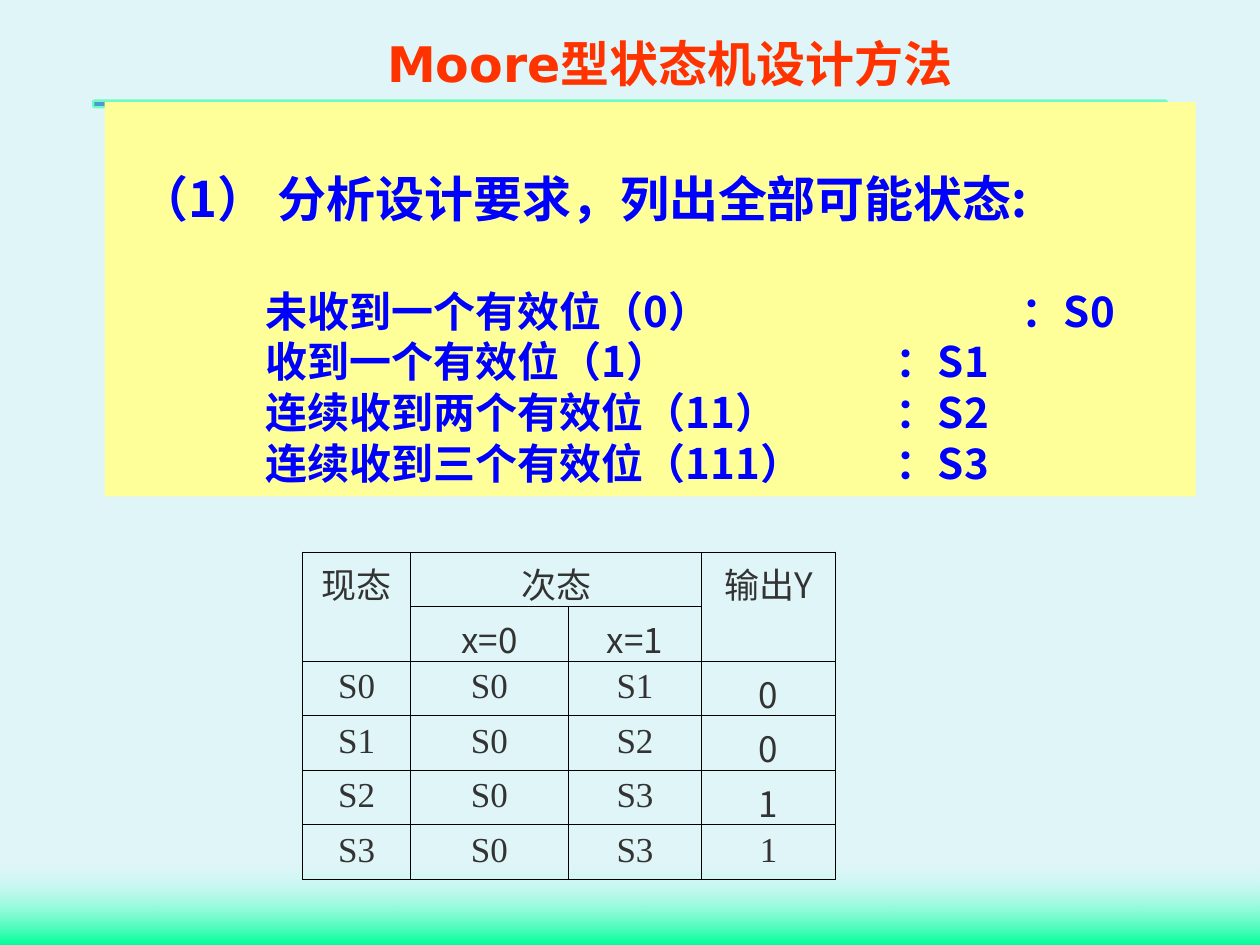
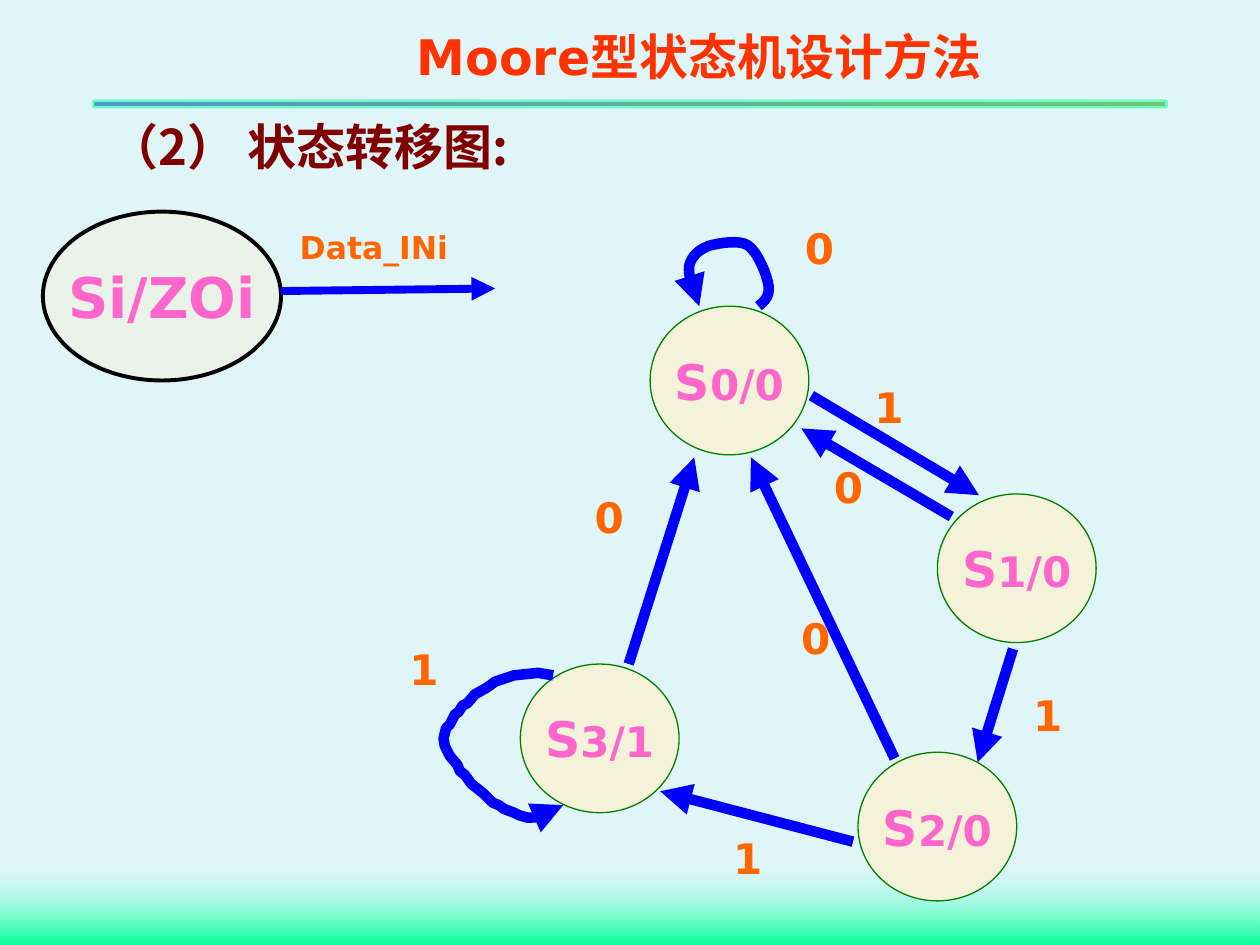
from itertools import product

from lxml.etree import SubElement
from pptx import Presentation
from pptx.dml.color import RGBColor
from pptx.enum.shapes import MSO_CONNECTOR, MSO_SHAPE
from pptx.enum.text import MSO_ANCHOR, MSO_AUTO_SIZE, PP_ALIGN
from pptx.oxml.ns import qn
from pptx.util import Inches, Pt

PALE_BLUE = RGBColor(0xE0, 0xF5, 0xF8)
ICE = RGBColor(0xCC, 0xFF, 0xFF)
MINT = RGBColor(0x00, 0xFF, 0x99)
VIOLET = RGBColor(0x99, 0x33, 0xFF)
OCHRE = RGBColor(0xE0, 0x91, 0x42)
YELLOW = RGBColor(0xFF, 0xFF, 0x99)
BLUE = RGBColor(0x00, 0x00, 0xFF)
RED = RGBColor(0xFF, 0x33, 0x00)
MAROON = RGBColor(0x80, 0x00, 0x00)
GREY = RGBColor(0x33, 0x33, 0x33)
CREAM = RGBColor(0xF4, 0xF3, 0xD9)
GREEN = RGBColor(0x00, 0x80, 0x00)
PINK = RGBColor(0xFF, 0x66, 0xCC)
ORANGE = RGBColor(0xFF, 0x66, 0x00)
BLACK = RGBColor(0x00, 0x00, 0x00)

HAN_FONT = "Noto Sans CJK SC"
LATIN_FONT = "DejaVu Sans"
TABLE_FONT = "Times New Roman"


def write(para, text, size=24, color=BLUE, font=LATIN_FONT, bold=True,
          align=PP_ALIGN.LEFT, line=None):
    """Add one formatted run to a paragraph; line is an exact height in points."""
    para.alignment = align
    if line:
        para.line_spacing = Pt(line)
    span = para.add_run()
    span.text = text
    span.font.size = Pt(size)
    span.font.bold = bold
    span.font.name = font
    span.font.color.rgb = color
    SubElement(span.font._element, qn("a:ea"), typeface=HAN_FONT)


def make_arrow(shape, width=6):
    shape.line.color.rgb = BLUE
    shape.line.width = Pt(width)
    properties = shape.element.spPr
    SubElement(properties.find(qn("a:ln")), qn("a:tailEnd"), type="triangle")
    SubElement(properties, qn("a:effectLst"))


deck = Presentation()
deck.slide_width, deck.slide_height = Inches(10), Inches(7.5)
layout = deck.slide_layouts[5]
states_page = deck.slides.add_slide(layout)
diagram_page = deck.slides.add_slide(layout)

# Shared background, bottom band and rule
background = deck.slide_master.background.fill
background.solid()
background.fore_color.rgb = PALE_BLUE
decor = []
for area, angle, colors in [
    ((0, 6.83, 10, 0.67), 270, (ICE, MINT)),
    ((0.75, 0.81, 8.5, 0.03), 0, (VIOLET, OCHRE)),
]:
    strip = states_page.shapes.add_shape(MSO_SHAPE.RECTANGLE, *map(Inches, area))
    strip.shadow.inherit = False
    strip.line.fill.background()
    strip.fill.gradient()
    strip.fill.gradient_angle = angle
    for stop, color, position in zip(strip.fill.gradient_stops, colors, (0, 1)):
        stop.color.rgb = color
        stop.position = position
    decor.append(strip)
band, rule = decor
rule.line.color.rgb = MINT
rule.line.width = Pt(3)
for index, strip in enumerate(decor):
    layout.shapes.element.insert(2 + index, strip.element)

# Running header and numbered step of each page
for page, header_area, step_area, step, color, top_inset, indent in [
    (states_page, (1.98, 0.21, 6.67, 0.57), (0.83, 0.81, 8.66, 3.13),
     "（1） 分析设计要求，列出全部可能状态:", BLUE, 0.52, 0.18),
    (diagram_page, (2.14, 0.16, 6.82, 0.57), (0.77, 0.88, 4.25, 1.04),
     "（2） 状态转移图:", MAROON, 0.04, 0),
]:
    title = page.shapes.title
    title.left, title.top, title.width, title.height = map(Inches, step_area)
    frame = title.text_frame
    frame.auto_size = MSO_AUTO_SIZE.NONE
    frame.vertical_anchor = MSO_ANCHOR.TOP
    frame.margin_top = Inches(top_inset)
    write(frame.paragraphs[0], step, size=28, color=color, font=HAN_FONT, line=34)
    frame.paragraphs[0]._p.get_or_add_pPr().set("marL", str(Inches(indent)))

    header = page.shapes.add_textbox(*map(Inches, header_area))
    header.text_frame.word_wrap = True
    write(header.text_frame.paragraphs[0], "Moore型状态机设计方法", size=28,
          color=RED, align=PP_ALIGN.CENTER, line=34)

# Page 1: list of states, set on tab stops
title = states_page.shapes.title
title.fill.solid()
title.fill.fore_color.rgb = YELLOW
for number, (meaning, code_stop) in enumerate([
    ("未收到一个有效位（0）", 7),
    ("收到一个有效位（1）", 6),
    ("连续收到两个有效位（11）", 6),
    ("连续收到三个有效位（111）", 6),
]):
    para = title.text_frame.add_paragraph()
    write(para, f"\t{meaning}\t：S{number}", font=HAN_FONT, line=29)
    para.space_before = Pt(0 if number else 33)
    tabs = SubElement(para._p.get_or_add_pPr(), qn("a:tabLst"))
    for stop in (1, code_stop):
        SubElement(tabs, qn("a:tab"), pos=str(Inches(stop)), algn="l")

# Page 1: transition table
ROWS = [
    ("现态", "次态", "", "输出Y"),
    ("", "x=0", "x=1", ""),
    ("S0", "S0", "S1", "0"),
    ("S1", "S0", "S2", "0"),
    ("S2", "S0", "S3", "1"),
    ("S3", "S0", "S3", "1"),
]
COLUMN_WIDTHS = (0.86, 1.25, 1.06, 1.06)
TABLE_HEIGHT = 2.6
table = states_page.shapes.add_table(
    len(ROWS), len(COLUMN_WIDTHS), Inches(2.4), Inches(4.38),
    Inches(sum(COLUMN_WIDTHS)), Inches(TABLE_HEIGHT)).table
table.first_row = table.horz_banding = False
for column, width in zip(table.columns, COLUMN_WIDTHS):
    column.width = Inches(width)
for row in table.rows:
    row.height = Inches(TABLE_HEIGHT / len(ROWS))
for first, last in [((0, 0), (1, 0)), ((0, 1), (0, 2)), ((0, 3), (1, 3))]:
    table.cell(*first).merge(table.cell(*last))
for r, c in product(range(len(ROWS)), range(len(COLUMN_WIDTHS))):
    cell = table.cell(r, c)
    cell.margin_left = cell.margin_right = Inches(0.08)
    cell.margin_top, cell.margin_bottom = Inches(0.05), Inches(0.02)
    properties = cell._tc.get_or_add_tcPr()
    for side in ("lnL", "lnR", "lnT", "lnB"):
        border = SubElement(properties, qn(f"a:{side}"), w=str(Pt(0.45)))
        ink = SubElement(border, qn("a:solidFill"))
        SubElement(ink, qn("a:srgbClr"), val=str(BLACK))
    cell.fill.background()
    if ROWS[r][c]:
        sans = r < 2 or (c == 3 and r < 5)
        write(cell.text_frame.paragraphs[0], ROWS[r][c], size=20, color=GREY,
              font=HAN_FONT if sans else TABLE_FONT, bold=False,
              align=PP_ALIGN.CENTER)

# Page 2: legend and state circles, each text as (words, size) pieces
shapes = diagram_page.shapes
NODE = (1.26, 1.18)
for left, top, size, outline, weight, pieces in [
    (5.16, 2.43, NODE, GREEN, 0.75, [("S", 28), ("0/0", 24)]),
    (7.44, 3.92, NODE, GREEN, 0.75, [("S", 28), ("1/0", 24)]),
    (6.81, 5.97, NODE, GREEN, 0.75, [("S", 28), ("2/0", 24)]),
    (4.13, 5.27, NODE, GREEN, 0.75, [("S", 28), ("3/1", 24)]),
    (0.34, 1.68, (1.89, 1.34), BLACK, 2.25, [("Si/ZOi", 32)]),
]:
    state = shapes.add_shape(MSO_SHAPE.OVAL, *map(Inches, (left, top, *size)))
    state.shadow.inherit = False
    state.fill.solid()
    state.fill.fore_color.rgb = CREAM
    state.line.color.rgb = outline
    state.line.width = Pt(weight)
    state.text_frame.word_wrap = False
    state.text_frame.vertical_anchor = MSO_ANCHOR.MIDDLE
    for words, points in pieces:
        write(state.text_frame.paragraphs[0], words, size=points, color=PINK,
              align=PP_ALIGN.CENTER)
legend = state

# Page 2: straight transitions
for *ends, width in [
    (6.44, 3.14, 7.77, 3.93, 6),
    (8.04, 5.15, 7.76, 6.05, 6),
    (6.77, 6.68, 5.24, 6.28, 6),
    (7.1, 6.02, 5.96, 3.63, 6),
    (7.55, 4.1, 6.36, 3.4, 6),
    (4.99, 5.27, 5.51, 3.63, 6),
    (2.23, 2.31, 3.93, 2.29, 4.5),
]:
    make_arrow(shapes.add_connector(MSO_CONNECTOR.STRAIGHT, *map(Inches, ends)), width)

# Page 2: loops; the one on S0 is sampled from Bézier curves
s0_loop = [(6.02, 2.43)]
for b, c, d in [
    ((6.07, 2.39), (6.11, 2.35), (6.1, 2.27)),
    ((6.09, 2.19), (6.02, 2.01), (5.94, 1.95)),
    ((5.87, 1.9), (5.71, 1.93), (5.63, 1.95)),
    ((5.55, 1.98), (5.49, 2.03), (5.47, 2.11)),
    ((5.46, 2.19), (5.5, 2.31), (5.55, 2.43)),
]:
    a = s0_loop[-1]
    for t in (step / 8 for step in range(1, 9)):
        weights = ((1 - t) ** 3, 3 * t * (1 - t) ** 2, 3 * t * t * (1 - t), t ** 3)
        s0_loop.append(tuple(sum(w * v for w, v in zip(weights, axis))
                             for axis in zip(a, b, c, d)))
s3_loop = [
    (4.39, 5.36), (4.27, 5.34), (4.08, 5.36), (3.93, 5.41), (3.86, 5.46),
    (3.77, 5.51), (3.71, 5.58), (3.67, 5.6), (3.64, 5.65), (3.61, 5.67),
    (3.57, 5.75), (3.54, 5.78), (3.52, 5.86), (3.53, 5.92), (3.57, 6),
    (3.63, 6.07), (3.65, 6.12), (3.69, 6.15), (3.74, 6.22), (3.84, 6.3),
    (3.91, 6.37), (3.96, 6.39), (4, 6.42), (4.08, 6.45), (4.12, 6.47),
    (4.19, 6.49), (4.35, 6.48), (4.43, 6.44), (4.47, 6.39),
]
for points in (s0_loop, s3_loop):
    start, *rest = [(Inches(x), Inches(y)) for x, y in points]
    outline = shapes.build_freeform(*start)
    outline.add_line_segments(rest, close=False)
    loop = outline.convert_to_shape()
    loop.fill.background()
    make_arrow(loop)

# Page 2: transition labels
for text, left, top, width, height, size in [
    ("1", 6.84, 2.98, 0.39, 0.5, 24),
    ("1", 8.1, 5.42, 0.39, 0.5, 24),
    ("1", 5.72, 6.56, 0.39, 0.5, 24),
    ("1", 3.15, 5.06, 0.39, 0.5, 24),
    ("0", 6.52, 3.61, 0.39, 0.5, 24),
    ("0", 6.26, 4.81, 0.39, 0.5, 24),
    ("0", 4.62, 3.85, 0.39, 0.5, 24),
    ("0", 6.29, 1.72, 0.39, 0.5, 24),
    ("Data_INi", 2.28, 1.76, 2.11, 0.4, 18),
]:
    label = shapes.add_textbox(*map(Inches, (left, top, width, height)))
    label.text_frame.word_wrap = len(text) > 1
    write(label.text_frame.paragraphs[0], text, size=size, color=ORANGE)

# Opacity in percent of the first or last colour of a shape
for shape, position, opacity in [(band, 0, 0), (rule, -1, 50), (legend, 0, 53)]:
    tint = list(shape.element.spPr.iter(qn("a:srgbClr")))[position]
    SubElement(tint, qn("a:alpha"), val=str(opacity * 1000))

deck.save("out.pptx")
